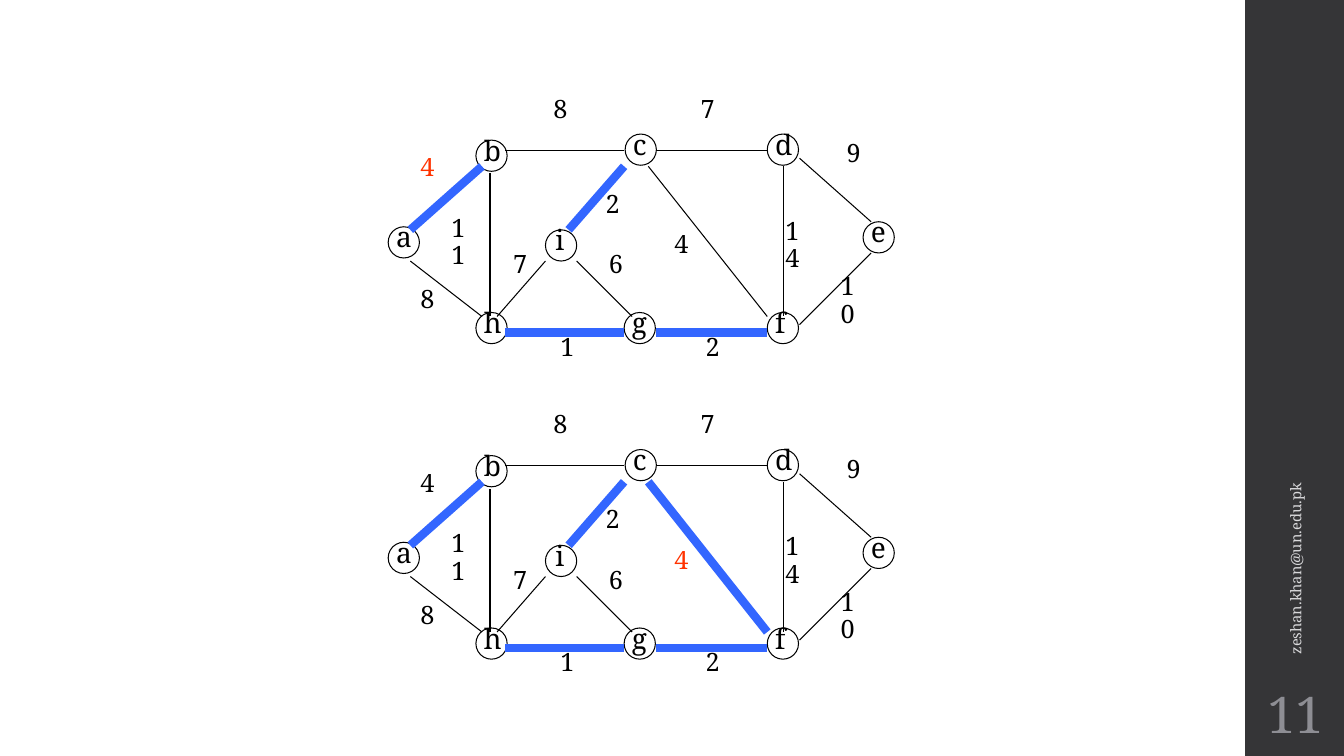
from pptx import Presentation
from pptx.dml.color import RGBColor
from pptx.enum.shapes import MSO_CONNECTOR, MSO_SHAPE
from pptx.enum.text import MSO_ANCHOR, PP_ALIGN
from pptx.oxml.ns import qn
from pptx.util import Inches, Pt
from lxml import etree

STRAIGHT = MSO_CONNECTOR.STRAIGHT
RECTANGLE, OVAL = MSO_SHAPE.RECTANGLE, MSO_SHAPE.OVAL
TOP, MIDDLE = MSO_ANCHOR.TOP, MSO_ANCHOR.MIDDLE
LEFT, CENTER = PP_ALIGN.LEFT, PP_ALIGN.CENTER

COLORS = {
    "ink": "000000",
    "tree": "3366FF",
    "newest": "FF3300",
    "sidebar": "353537",
    "address": "D9D9DB",
    "number": "8E8E94",
}
FONT = "Noto Serif"
NODE_SIZE = 0.31
GRAPH_STEP = 3.13

NODES = {
    "a": (3.85, 2.25),
    "b": (4.72, 1.39),
    "h": (4.72, 3.10),
    "c": (6.20, 1.33),
    "d": (7.61, 1.33),
    "e": (8.56, 2.20),
    "f": (7.61, 3.10),
    "g": (6.19, 3.10),
    "i": (5.41, 2.28),
}
EDGES = {
    "ab": ((4.07, 2.28), (4.78, 1.65), "4", (4.07, 1.49)),
    "ah": ((4.07, 2.59), (4.78, 3.14), "8", (4.07, 2.80)),
    "bh": ((4.86, 1.72), (4.86, 3.14), "11", (4.38, 2.09)),
    "bc": ((5.01, 1.49), (6.19, 1.49), "8", (5.39, 0.91)),
    "hg": ((5.01, 3.30), (6.19, 3.30), "1", (5.46, 3.27)),
    "gf": ((6.51, 3.30), (7.61, 3.30), "2", (6.90, 3.27)),
    "cf": ((6.43, 1.65), (7.61, 3.14), "4", (6.59, 2.25)),
    "cd": ((6.51, 1.49), (7.61, 1.49), "7", (6.85, 0.91)),
    "df": ((7.77, 1.65), (7.77, 3.14), "14", (7.69, 2.12)),
    "de": ((7.93, 1.57), (8.64, 2.20), "9", (8.30, 1.35)),
    "fe": ((7.93, 3.22), (8.64, 2.51), "10", (8.24, 2.67)),
    "ig": ((5.72, 2.59), (6.27, 3.14), "6", (5.94, 2.45)),
    "hi": ((4.93, 3.14), (5.41, 2.59), "7", (4.99, 2.45)),
    "ic": ((5.64, 2.28), (6.19, 1.65), "2", (5.91, 1.85)),
}
FIRST_TREE = {"ab", "ic", "hg", "gf"}
STEPS = [(FIRST_TREE, "ab"), (FIRST_TREE | {"cf"}, "cf")]


class SlideBuilder:
    def __init__(self, page):
        self.page = page
        self.shapes = page.shapes

    def color(self, name):
        return RGBColor.from_string(COLORS[name])

    def start_group(self):
        self.shapes = self.page.shapes.add_group_shape().shapes

    def end_group(self):
        self.shapes = self.page.shapes

    def shape(self, kind, left, top, width, height, fill=None, line=None):
        shape = self.shapes.add_shape(
            kind, Inches(left), Inches(top), Inches(width), Inches(height))
        shape.shadow.inherit = False
        if fill:
            shape.fill.solid()
            shape.fill.fore_color.rgb = self.color(fill)
        else:
            shape.fill.background()
        if line:
            shape.line.color.rgb = self.color(line)
            shape.line.width = Pt(0.75)
        else:
            shape.line.fill.background()

    def line(self, start, end, color, width):
        connector = self.shapes.add_connector(
            STRAIGHT, *(Inches(value) for value in start + end))
        connector.line.color.rgb = self.color(color)
        connector.line.width = Pt(width)
        properties = connector._element.find(qn("p:spPr"))
        etree.SubElement(properties, qn("a:effectLst"))

    def text(self, words, left, top, width, height, size, color="ink",
             align=LEFT, anchor=TOP, spacing=None, rotation=0):
        box = self.shapes.add_textbox(
            Inches(left), Inches(top), Inches(width), Inches(height))
        box.rotation = rotation
        frame = box.text_frame
        frame.word_wrap = True
        frame.vertical_anchor = anchor
        para = frame.paragraphs[0]
        para.text = words
        para.alignment = align
        para.line_spacing = spacing
        para.font.name = FONT
        para.font.size = Pt(size)
        para.font.color.rgb = self.color(color)

    def graph(self, shift, tree, newest):
        self.start_group()
        for name, (left, top) in NODES.items():
            indent = 0 if name == "i" else -0.02
            self.text(name, left + indent, top + shift - 0.08,
                      0.34, 0.44, 20, spacing=0.9)
            self.shape(OVAL, left, top + shift, NODE_SIZE, NODE_SIZE, line="ink")
        for name, (start, end, weight, (left, top)) in EDGES.items():
            color, width = ("tree", 6) if name in tree else ("ink", 0.75)
            self.line((start[0], start[1] + shift), (end[0], end[1] + shift),
                      color, width)
            self.text(weight, left, top + shift,
                      0.33 if len(weight) == 1 else 0.46, 0.4, 18,
                      "newest" if name == newest else "ink", spacing=0.9)
        self.end_group()


deck = Presentation()
deck.slide_width, deck.slide_height = Inches(13.33), Inches(7.5)
page = deck.slides.add_slide(deck.slide_layouts[6])
builder = SlideBuilder(page)
builder.shape(RECTANGLE, 12.35, 0, 1, 7.5, fill="sidebar")
for index, (tree, newest) in enumerate(STEPS):
    builder.graph(index * GRAPH_STEP, tree, newest)
builder.text("zeshan.khan@un.edu.pk", 10.89, 4.43, 3.92, 0.4, 10.5,
             "address", anchor=MIDDLE, rotation=270)
builder.text("11", 12.35, 6.75, 1, 0.65, 36, "number", CENTER, MIDDLE)
deck.save("out.pptx")
